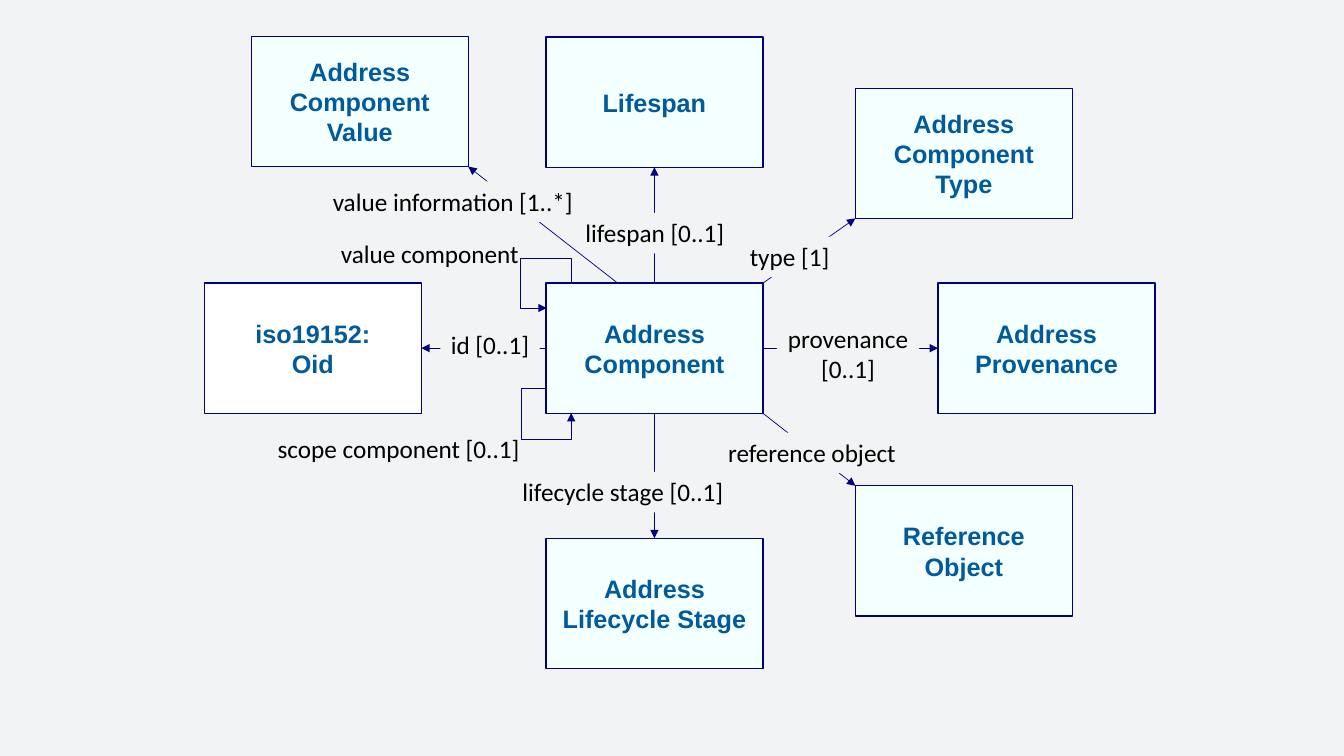
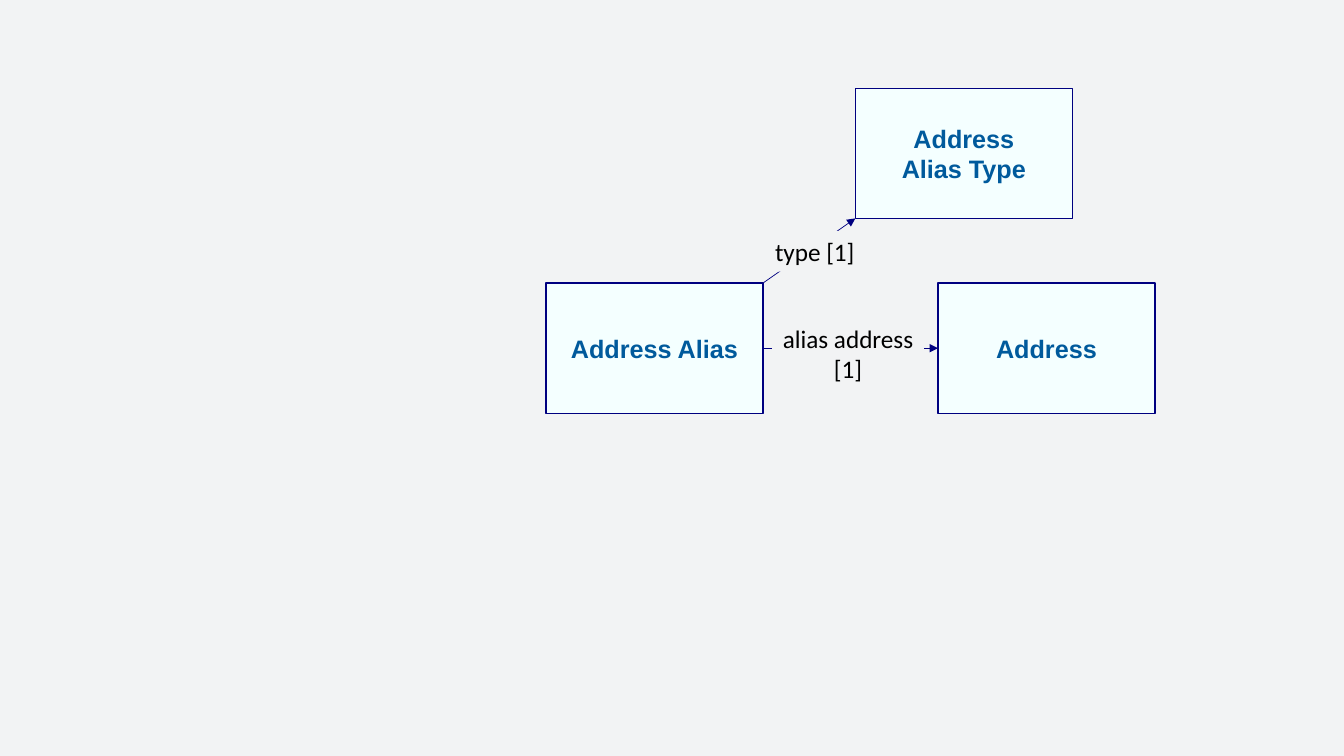
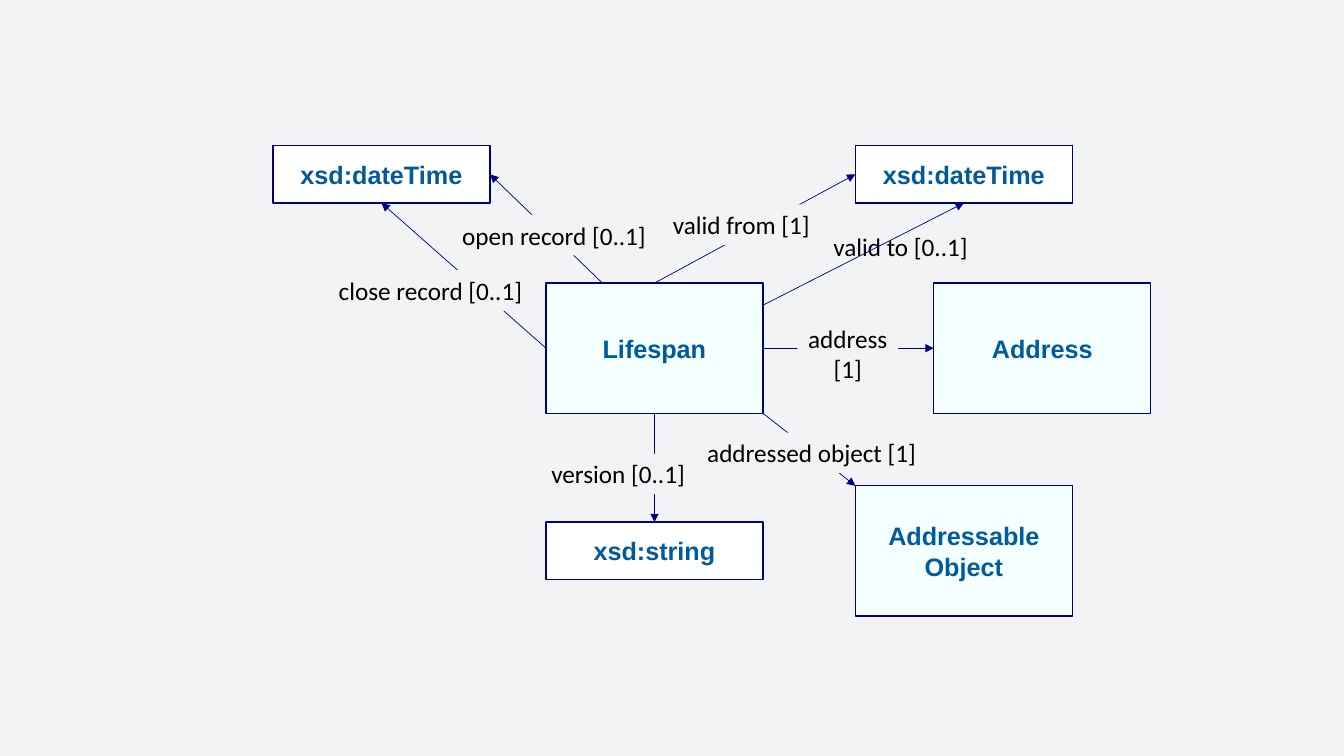
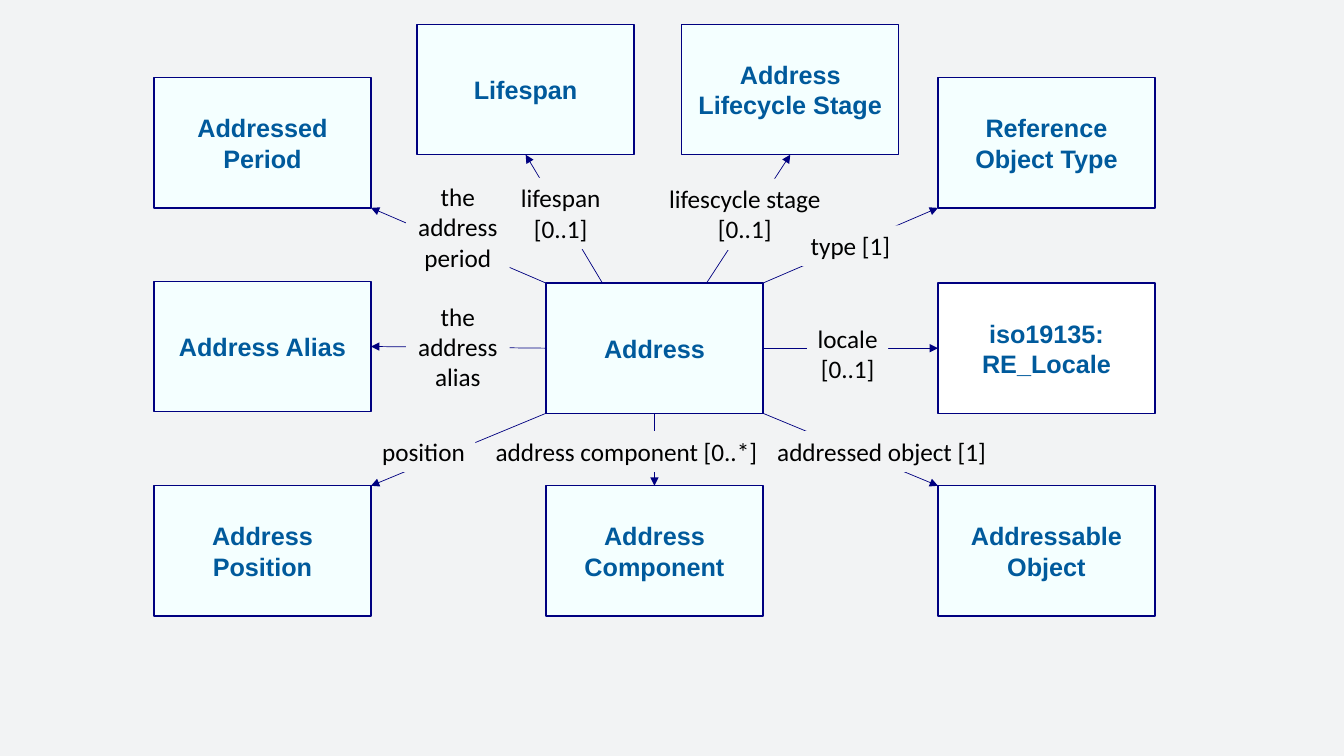
from pptx import Presentation
from pptx.dml.color import RGBColor
from pptx.enum import shapes, text
from pptx.oxml import parse_xml
from pptx.oxml.ns import nsdecls, qn
from pptx.util import Pt

# Style
PAGE, TINT, WHITE, NAVY = "F2F3F4", "F4FFFF", "FFFFFF", "000080"
CLASS_FONT = {"name": "Arial", "size": Pt(18), "bold": True, "color": "005A9C"}
LABEL_FONT = {"name": "Calibri", "size": Pt(18), "bold": False, "color": "000000"}
BOX_W, BOX_H, TYPE_H = 155, 93, 41
LABEL_H, LINE_H = 29, 22
HUB_X, HUB_Y = 390, 202.2
RIGHT, DIAG, LEFT, LOW = 670, 611, 110, 347

# Anchors as fractions of a box; sides also have a connection site
N, W, S, E = (0.5, 0), (0, 0.5), (0.5, 1), (1, 0.5)
NW, NE, SW, SE = (0, 0), (1, 0), (0, 1), (1, 1)
SITES = {N: 0, W: 1, S: 2, E: 3}

# Content: hub class, then (class, x, y, links), from back to front
# link: (hub anchor, class anchor, label, label x, y, width)
DIAGRAMS = [
    ("Address Component", [
        ("Lifespan", HUB_X, 26.5, [(N, S, "lifespan [0..1]", 410.5, 152, 114.5)]),
        ("Address Component Type", DIAG, 63, [(NE, SW, "type [1]", 528, 169, 72)]),
        ("Address Provenance", RIGHT, HUB_Y,
         [(E, W, "provenance\v[0..1]", 555, 227.5, 101.5)]),
        ("Reference Object", DIAG, LOW, [(SE, NW, "reference object", 512, 309, 136)]),
        ("Address Lifecycle Stage", HUB_X, 384.5,
         [(S, N, "lifecycle stage [0..1]", 365, 337, 160)]),
        ("iso19152:\vOid", 146, HUB_Y, [(W, E, "id [0..1]", 314.5, 232, 71)]),
        ("Address Component Value", 179.5, 26,
         [((0.33, 0), SE, "value information [1..*]", 229.5, 129.5, 188)]),
    ]),
    ("Address Alias", [
        ("Address\vAlias Type", DIAG, 63, [(NE, SW, "type [1]", 546, 165, 72)]),
        ("Address", RIGHT, HUB_Y, [(E, W, "alias address\v[1]", 551.5, 227.5, 108.5)]),
    ]),
    ("Lifespan", [
        ("Address", 667, HUB_Y, [(E, W, "address\v[1]", 569.5, 227.5, 72)]),
        ("Addressable Object", DIAG, LOW,
         [(SE, NW, "addressed object [1]", 497, 309, 165.5)]),
        ("xsd:dateTime", DIAG, 104, [
            (N, W, "valid from [1]", 472.5, 146, 114),
            ((1, 0.17), S, "valid to [0..1]", 587.5, 162, 111.5)]),
        ("xsd:string", HUB_X, 373, [(S, N, "version [0..1]", 386, 324, 111)]),
        ("xsd:dateTime", 195, 104, [
            ((0.26, 0), E, "open record [0..1]", 322, 153.5, 147.5),
            (W, S, "close record [0..1]", 234, 193, 147)]),
    ]),
    ("Address", [
        ("Addressable Object", RIGHT, LOW,
         [(SE, NW, "addressed object [1]", 547, 308, 165.5)]),
        ("iso19135: RE_Locale", RIGHT, HUB_Y, [(E, W, "locale\v[0..1]", 576.5, 227.5, 58)]),
        ("Address Component", HUB_X, LOW,
         [(S, N, "address component [0..*]", 345.5, 308, 204)]),
        ("Address Alias", LEFT, 201, [(W, E, "the\naddress\valias", 290, 211.5, 74)]),
        ("Address Position", LEFT, LOW, [(SW, NE, "position", 265.5, 308, 74)]),
        ("Addressed Period", LEFT, 55.5, [(NW, SE, "the\naddress\vperiod", 290, 126, 74)]),
        ("Lifespan", 298, 17.5, [((0.26, 0), S, "lifespan\v[0..1]", 364.5, 127, 72)]),
        ("Address Lifecycle Stage", 487, 17.5,
         [((0.74, 0), S, "lifescycle stage\v[0..1]", 470, 127.5, 124)]),
        ("Reference Object Type", RIGHT, 55.5, [(NE, SW, "type [1]", 571.5, 161, 72)]),
    ]),
]
LABELS_UNDER_LINE = {"valid to [0..1]"}

# Links from the first hub to itself: (label, label x, y, width, loop x, y, rotation)
LOOP_SIZE, LOOP_ADJ = 17.5, (-103100, 206200)
LOOPS = [
    ("scope component [0..1]", 190, 306, 189.5, 390.5, 277.5, 180),
    ("value component", 235.5, 167, 143, 390.5, 202.5, 270),
]


def rgb(color):
    return RGBColor.from_string(color)


def write(sp, content, font):
    tf = sp.text_frame
    tf.text = content
    for p in tf.paragraphs:
        p.alignment = text.PP_ALIGN.CENTER
        for r in p.runs:
            for key, value in font.items():
                if key == "color":
                    r.font.color.rgb = rgb(value)
                else:
                    setattr(r.font, key, value)
    return tf


def add_rect(slide, x, y, w, h, fill):
    sp = slide.shapes.add_shape(shapes.MSO_SHAPE.RECTANGLE, Pt(x), Pt(y), Pt(w), Pt(h))
    sp.shadow.inherit = False
    sp.fill.solid()
    sp.fill.fore_color.rgb = rgb(fill)
    return sp


def add_class(slide, name, x, y):
    h = TYPE_H if name.startswith("xsd:") else BOX_H
    sp = add_rect(slide, x, y, BOX_W, h, WHITE if ":" in name else TINT)
    sp.line.color.rgb = rgb(NAVY)
    sp.line.width = Pt(1)
    tf = write(sp, name, CLASS_FONT)
    tf.word_wrap = True
    tf.vertical_anchor = text.MSO_ANCHOR.MIDDLE
    return sp


def add_label(slide, label, x, y, w, filled=True):
    h = LABEL_H + LINE_H * (label.count("\v") + label.count("\n"))
    if filled:
        sp = add_rect(slide, x, y, w, h, PAGE)
        sp.line.fill.background()
    else:
        sp = slide.shapes.add_textbox(Pt(x), Pt(y), Pt(w), Pt(h))
    tf = write(sp, label, LABEL_FONT)
    tf.word_wrap = False
    tf.auto_size = text.MSO_AUTO_SIZE.SHAPE_TO_FIT_TEXT
    tf.vertical_anchor = text.MSO_ANCHOR.TOP


def add_arrow(slide, start, end, kind=shapes.MSO_CONNECTOR.STRAIGHT):
    con = slide.shapes.add_connector(kind, *(round(v) for v in (*start, *end)))
    con.line.color.rgb = rgb(NAVY)
    con.line.width = Pt(0.5)
    con.line._get_or_add_ln().append(
        parse_xml(f'<a:tailEnd {nsdecls("a")} type="triangle"/>'))
    con._element.spPr.append(parse_xml(f'<a:effectLst {nsdecls("a")}/>'))
    return con


def anchor(sp, at):
    return sp.left + sp.width * at[0], sp.top + sp.height * at[1]


def add_link(slide, hub, sp, hub_at, sp_at):
    con = add_arrow(slide, anchor(hub, hub_at), anchor(sp, sp_at))
    if hub_at in SITES:
        con.begin_connect(hub, SITES[hub_at])
    if sp_at in SITES:
        con.end_connect(sp, SITES[sp_at])


def add_loop(slide, x, y, rotation):
    far = (Pt(x + LOOP_SIZE), Pt(y + LOOP_SIZE))
    con = add_arrow(slide, far, (Pt(x), Pt(y)), shapes.MSO_CONNECTOR.ELBOW)
    sp_pr = con._element.spPr
    sp_pr.find(qn("a:xfrm")).set("rot", str(rotation * 60000))
    guides = "".join(f'<a:gd name="adj{i}" fmla="val {v}"/>'
                     for i, v in enumerate(LOOP_ADJ, 1))
    sp_pr.replace(sp_pr.find(qn("a:prstGeom")), parse_xml(
        f'<a:prstGeom {nsdecls("a")} prst="bentConnector4">'
        f'<a:avLst>{guides}</a:avLst></a:prstGeom>'))


# Presentation and shared background
prs = Presentation()
prs.slide_width, prs.slide_height = Pt(960), Pt(540)
background = prs.slide_master.background.fill
background.solid()
background.fore_color.rgb = rgb(PAGE)
blank = prs.slide_layouts[6]

# One slide per hub class
for hub_name, targets in DIAGRAMS:
    slide = prs.slides.add_slide(blank)
    hub = add_class(slide, hub_name, HUB_X, HUB_Y)
    for name, x, y, links in targets:
        sp = add_class(slide, name, x, y)
        for hub_at, sp_at, *label in links:
            under = label[0] in LABELS_UNDER_LINE
            if under:
                add_label(slide, *label)
            add_link(slide, hub, sp, hub_at, sp_at)
            if not under:
                add_label(slide, *label)

# Self links of the component class
for *label, x, y, rotation in LOOPS:
    add_loop(prs.slides[0], x, y, rotation)
    add_label(prs.slides[0], *label, filled=False)

prs.save("out.pptx")
